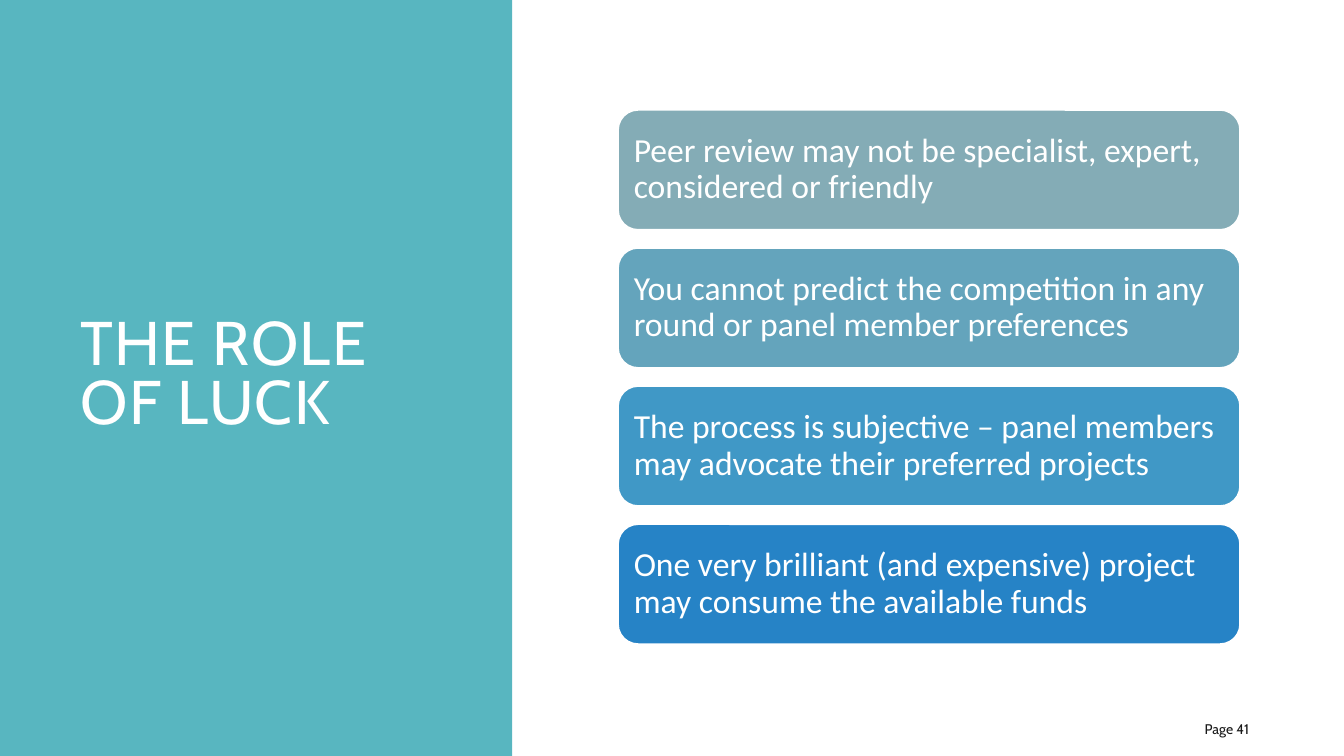
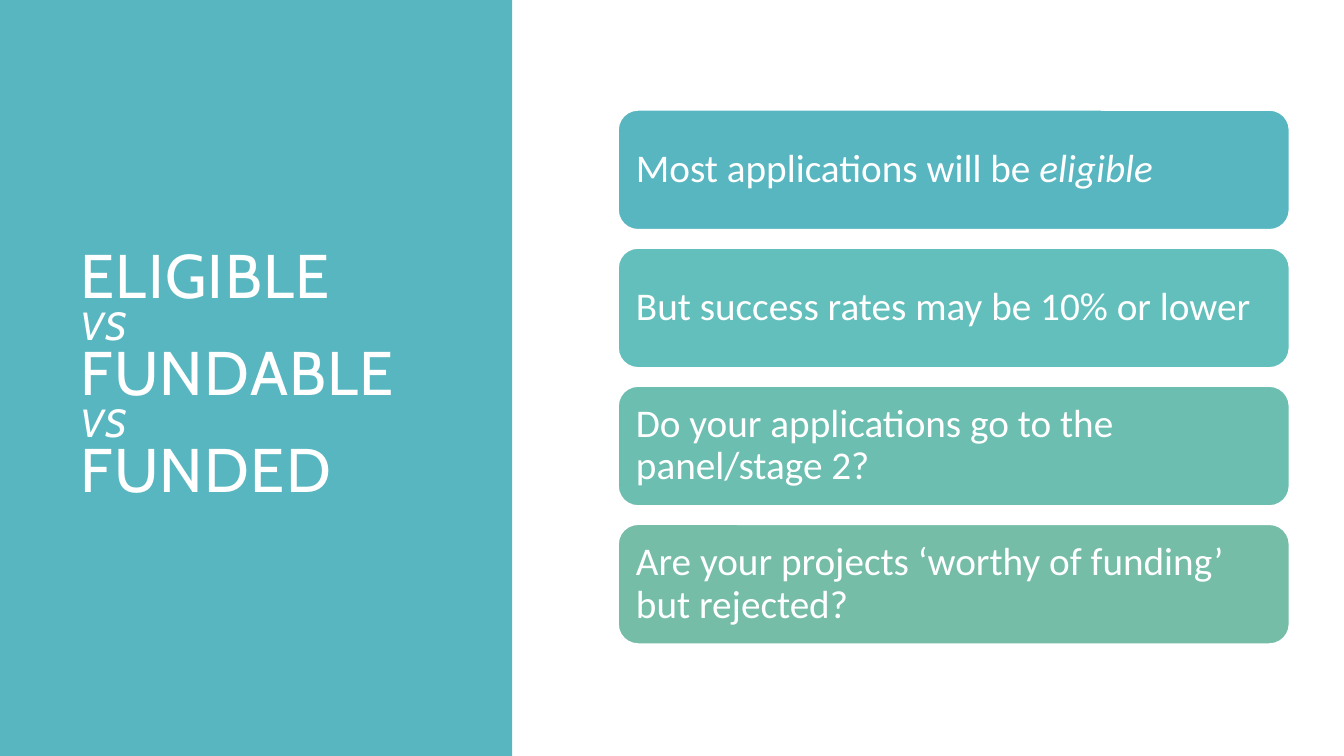
from dataclasses import dataclass

import pptx
import pptx.dml.color
import pptx.enum.shapes
import pptx.enum.text
import pptx.util

Inches = pptx.util.Inches
Pt = pptx.util.Pt

COLOURS = {
    "white": "FFFFFF",
    "ink": "1A1A1A",
    "teal": "58B6C0",
    "grey_teal": "84ACB6",
    "steel": "64A4BC",
    "sky": "4098C6",
    "blue": "2683C6",
    "aqua": "62BFBB",
    "mint": "6CBEB0",
    "sage": "75BDA7",
}
TITLE_FONT = "Cabin"
CARD_FONT = "Calibri"
CARD_LEFT, CARD_TOP, CARD_HEIGHT, CARD_PITCH = 6.13, 1.09, 1.19, 1.37


@dataclass(frozen=True)
class Span:
    text: str
    size: float
    italic: bool = False


@dataclass(frozen=True)
class Card:
    colour: str
    spans: list[Span]


@dataclass(frozen=True)
class Topic:
    title: list[Span]
    cards: list[Card]
    card_width: float
    card_inset: float
    page_label: str = ""


def colour(name: str) -> pptx.dml.color.RGBColor:
    return pptx.dml.color.RGBColor.from_string(COLOURS[name])


def add_span(para, text: str, *, size: float, font: str, ink: str = "white",
             italic: bool = False, tracking: float = 0) -> None:
    span = para.add_run()
    span.text = text
    span.font.name = font
    span.font.size = Pt(size)
    span.font.italic = italic
    span.font.color.rgb = colour(ink)
    if tracking:
        span._r.get_or_add_rPr().set("spc", str(round(tracking * 100)))


def prepare_para(shape, spacing: float = 1.0):
    frame = shape.text_frame
    frame.word_wrap = True
    frame.vertical_anchor = pptx.enum.text.MSO_ANCHOR.MIDDLE
    para = frame.paragraphs[0]
    para.alignment = pptx.enum.text.PP_ALIGN.LEFT
    para.line_spacing = spacing
    return para


def add_block(page, kind, left: float, top: float, width: float,
              height: float, fill: str):
    block = page.shapes.add_shape(
        kind, Inches(left), Inches(top), Inches(width), Inches(height))
    block.shadow.inherit = False
    block.fill.solid()
    block.fill.fore_color.rgb = colour(fill)
    block.line.fill.background()
    return block


def add_title(page, lines: list[Span]) -> None:
    box = page.shapes.add_textbox(
        Inches(0.7), Inches(0.7), Inches(3.74), Inches(6.09))
    para = prepare_para(box, spacing=0.8)
    for index, line in enumerate(lines):
        if index:
            para.add_line_break()
        add_span(para, line.text, size=line.size, font=TITLE_FONT,
                 italic=line.italic, tracking=1)


def add_card(page, card: Card, top: float, width: float, inset: float) -> None:
    box = add_block(page, pptx.enum.shapes.MSO_SHAPE.ROUNDED_RECTANGLE,
                    CARD_LEFT, top, width, CARD_HEIGHT, card.colour)
    box.line.color.rgb = colour("white")
    box.line.width = Pt(1.25)
    frame = box.text_frame
    frame.margin_left = frame.margin_right = Inches(inset)
    frame.margin_top = frame.margin_bottom = Inches(inset)
    para = prepare_para(box, spacing=0.9)
    for span in card.spans:
        add_span(para, span.text, size=span.size, font=CARD_FONT,
                 italic=span.italic)


def add_page_label(page, label: str) -> None:
    box = page.shapes.add_textbox(
        Inches(11.85), Inches(7.08), Inches(1.06), Inches(0.3))
    add_span(prepare_para(box), label, size=10, font=TITLE_FONT, ink="ink")


def add_topic(deck, topic: Topic) -> None:
    page = deck.slides.add_slide(deck.slide_layouts[6])
    add_block(page, pptx.enum.shapes.MSO_SHAPE.RECTANGLE,
              0, 0, 5.08, 7.5, "teal")
    add_title(page, topic.title)
    if topic.page_label:
        add_page_label(page, topic.page_label)
    for index, card in enumerate(topic.cards):
        add_card(page, card, CARD_TOP + index * CARD_PITCH,
                 topic.card_width, topic.card_inset)


TOPICS = [
    Topic(
        title=[Span("THE ROLE", 44), Span("OF LUCK", 44)],
        cards=[
            Card("grey_teal", [Span("Peer review may not be specialist, expert, considered or friendly", 24)]),
            Card("steel", [Span("You cannot predict the competition in any round or panel member preferences", 24)]),
            Card("sky", [Span("The process is subjective – panel members may advocate their preferred projects", 24)]),
            Card("blue", [Span("One very brilliant (and expensive) project may consume the available funds", 24)]),
        ],
        card_width=6.17,
        card_inset=0.1,
        page_label="Page 41",
    ),
    Topic(
        title=[
            Span("ELIGIBLE", 44),
            Span("VS", 28, italic=True),
            Span("FUNDABLE", 44),
            Span("VS", 28, italic=True),
            Span("FUNDED", 44),
        ],
        cards=[
            Card("teal", [Span("Most applications will be ", 28), Span("eligible", 28, italic=True)]),
            Card("aqua", [Span("But success rates may be 10% or lower", 28)]),
            Card("mint", [Span("Do your applications go to the panel/stage 2?", 28)]),
            Card("sage", [Span("Are your projects ‘worthy of funding’ but rejected?", 28)]),
        ],
        card_width=6.66,
        card_inset=0.12,
    ),
]


def main() -> None:
    deck = pptx.Presentation()
    deck.slide_width = Inches(13.33)
    deck.slide_height = Inches(7.5)
    for topic in TOPICS:
        add_topic(deck, topic)
    deck.save("out.pptx")


if __name__ == "__main__":
    main()
